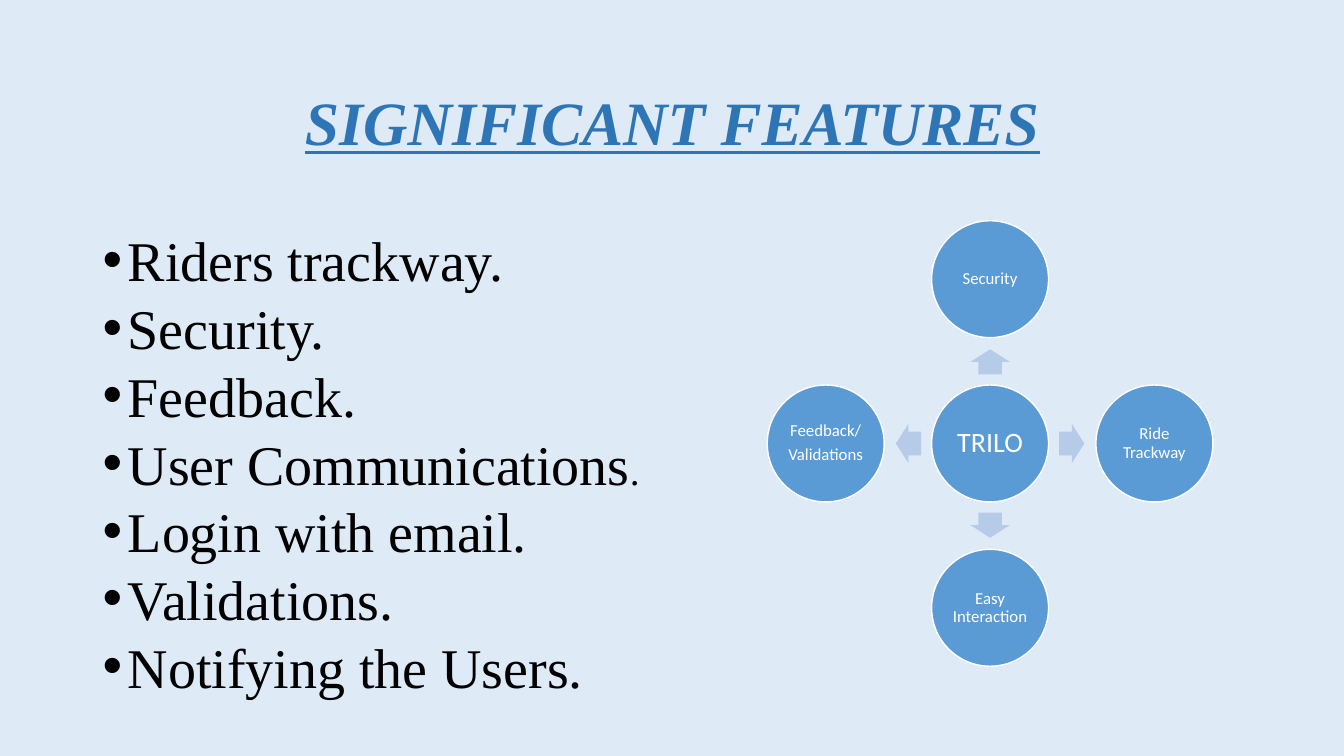
from dataclasses import dataclass

from lxml import etree
from pptx import Presentation
from pptx.dml.color import RGBColor
from pptx.enum.shapes import MSO_SHAPE
from pptx.enum.text import MSO_ANCHOR, PP_ALIGN
from pptx.oxml.ns import qn
from pptx.util import Inches, Pt

OVAL, ARROW = MSO_SHAPE.OVAL, MSO_SHAPE.RIGHT_ARROW
MIDDLE, TOP = MSO_ANCHOR.MIDDLE, MSO_ANCHOR.TOP
CENTER, LEFT = PP_ALIGN.CENTER, PP_ALIGN.LEFT


@dataclass(frozen=True)
class Theme:
    """Colours, fonts and type sizes of the slide."""
    background: str = "DEEBF7"
    title: str = "2E75B6"
    body: str = "000000"
    node: str = "5B9BD5"
    arrow: str = "B5CBE7"
    light: str = "FFFFFF"
    serif: str = "Times New Roman"
    sans: str = "Calibri"
    title_size: int = 44
    body_size: int = 40
    stop_size: int = 28
    hub_size: int = 20
    node_size: int = 12


class SlideBuilder:
    """Draws styled elements on one slide."""

    def __init__(self, slide, theme):
        self.slide, self.theme = slide, theme
        fill = slide.background.fill
        fill.solid()
        fill.fore_color.rgb = RGBColor.from_string(theme.background)

    def apply(self, target, formats):
        for name, value in formats.items():
            setattr(target, name, value)

    def run(self, p, text, color, **formats):
        r = p.add_run()
        r.text = text
        self.apply(r.font, formats)
        r.font.color.rgb = RGBColor.from_string(color)

    def textbox(self, left, top, width, height, anchor):
        box = (Inches(v) for v in (left, top, width, height))
        tf = self.slide.shapes.add_textbox(*box).text_frame
        self.apply(tf, {"word_wrap": True, "vertical_anchor": anchor})
        return tf

    def title(self, text, box):
        t = self.theme
        p = self.textbox(*box, MIDDLE).paragraphs[0]
        self.apply(p, {"alignment": CENTER, "line_spacing": 0.9})
        self.run(p, text, t.title, name=t.serif, size=Pt(t.title_size),
                 bold=True, italic=True, underline=True)

    def bullets(self, items, box):
        t = self.theme
        tf = self.textbox(*box, TOP)
        for i, parts in enumerate(items):
            p = tf.paragraphs[0] if i == 0 else tf.add_paragraph()
            self.apply(p, {"alignment": LEFT, "line_spacing": 0.8, "space_before": Pt(10)})
            pPr = p._p.get_or_add_pPr()
            pPr.set("marL", str(Inches(0.25)))
            pPr.set("indent", str(Inches(-0.25)))
            etree.SubElement(pPr, qn("a:buFont")).set("typeface", "Arial")
            etree.SubElement(pPr, qn("a:buChar")).set("char", "•")
            for text, size in parts:
                self.run(p, text, t.body, name=t.serif, size=Pt(size))

    def shape(self, kind, cx, cy, width, height, color):
        sp = self.slide.shapes.add_shape(kind, Inches(cx - width / 2), Inches(cy - height / 2),
                                         Inches(width), Inches(height))
        sp.shadow.inherit = False
        sp.fill.solid()
        sp.fill.fore_color.rgb = RGBColor.from_string(color)
        return sp

    def node(self, cx, cy, diameter, lines, size):
        t = self.theme
        sp = self.shape(OVAL, cx, cy, diameter, diameter, t.node)
        sp.line.color.rgb = RGBColor.from_string(t.light)
        sp.line.width = Pt(1)
        tf = sp.text_frame
        margins = dict.fromkeys(("margin_left", "margin_right", "margin_top", "margin_bottom"),
                                Inches(0.02))
        self.apply(tf, {"word_wrap": True, "vertical_anchor": MIDDLE, **margins})
        for i, line in enumerate(lines):
            p = tf.paragraphs[0] if i == 0 else tf.add_paragraph()
            self.apply(p, {"alignment": CENTER, "line_spacing": 0.9,
                           "space_after": Pt(0.35 * size)})
            self.run(p, line, t.light, name=t.sans, size=Pt(size))

    def arrow(self, cx, cy, rotation):
        sp = self.shape(ARROW, cx, cy, 0.25, 0.39, self.theme.arrow)
        sp.line.fill.background()
        sp.adjustments[0], sp.adjustments[1] = 0.6, 0.5
        sp.rotation = rotation


def main():
    prs = Presentation()
    prs.slide_width, prs.slide_height = Inches(13.33), Inches(7.5)
    theme = Theme()
    s = SlideBuilder(prs.slides.add_slide(prs.slide_layouts[6]), theme)

    s.title("SIGNIFICANT FEATURES", (0.92, 0.52, 11.5, 1.45))
    big = theme.body_size
    s.bullets([
        [("Riders trackway.", big)],
        [("Security.", big)],
        [("Feedback.", big)],
        [("User Communications", big), (".", theme.stop_size)],
        [("Login with email.", big)],
        [("Validations.", big)],
        [("Notifying the Users.", big)],
    ], (0.92, 2.32, 11.5, 4.76))

    hub_x, hub_y, diameter = 9.82, 4.4, 1.16
    node_reach, arrow_reach = 1.63, 0.81
    s.node(hub_x, hub_y, diameter, ["TRILO"], theme.hub_size)
    spokes = [
        (0, -1, 270, ["Security"]),
        (1, 0, 0, ["Ride Trackway"]),
        (0, 1, 90, ["Easy Interaction"]),
        (-1, 0, 180, ["Feedback/", "Validations"]),
    ]
    for dx, dy, rotation, lines in spokes:
        s.arrow(hub_x + dx * arrow_reach, hub_y + dy * arrow_reach, rotation)
        s.node(hub_x + dx * node_reach, hub_y + dy * node_reach, diameter, lines, theme.node_size)

    prs.save("out.pptx")


if __name__ == "__main__":
    main()
